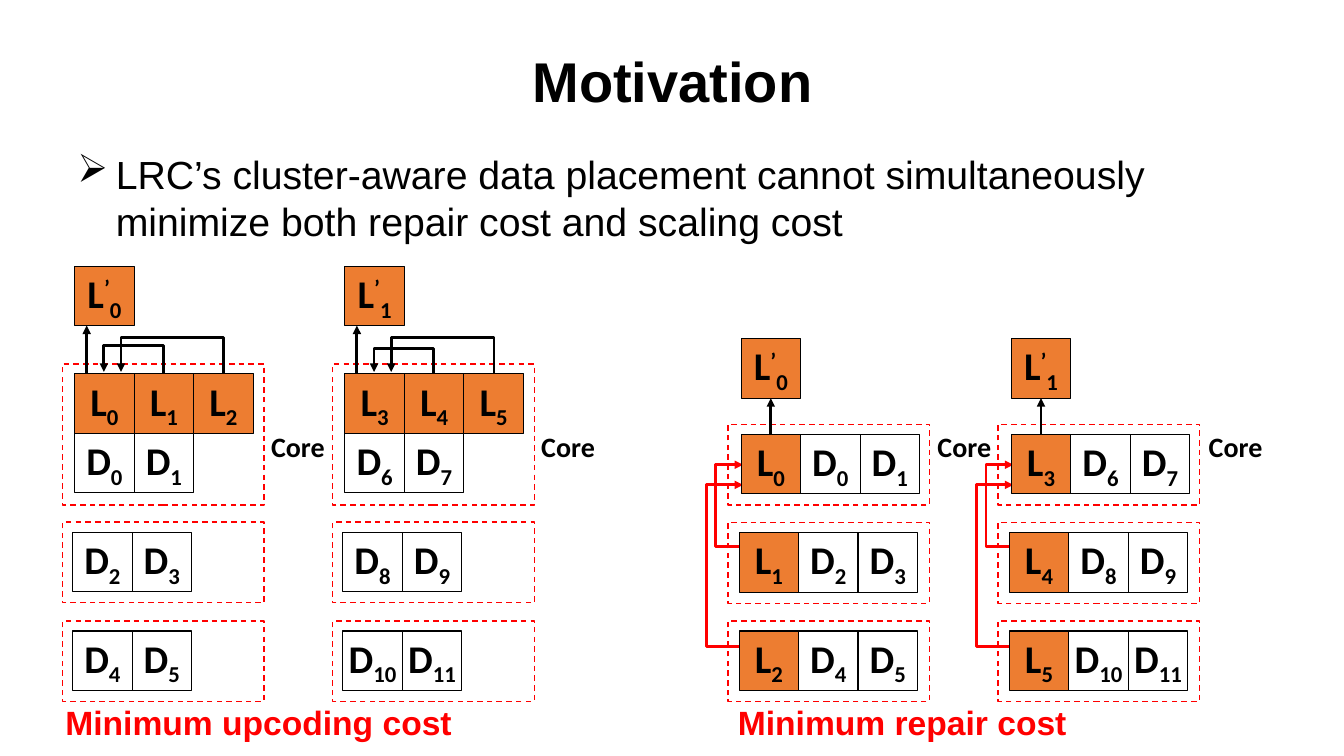
"""Build the Motivation slide comparing two LRC data placements."""
import pptx
import pptx.dml.color
import pptx.enum.dml
import pptx.enum.shapes
import pptx.enum.text
import pptx.oxml
import pptx.oxml.ns
import pptx.util

Inches = pptx.util.Inches
Pt = pptx.util.Pt
PP_ALIGN = pptx.enum.text.PP_ALIGN
MSO_ANCHOR = pptx.enum.text.MSO_ANCHOR
MSO_CONNECTOR = pptx.enum.shapes.MSO_CONNECTOR
BLACK = pptx.dml.color.RGBColor(0, 0, 0)
RED = pptx.dml.color.RGBColor(255, 0, 0)
ORANGE = pptx.dml.color.RGBColor(0xED, 0x7D, 0x31)
CELL = 0.59
STEP = 0.02


def add_xml(parent, tag, **attrs):
    """Append a DrawingML element and return it."""
    el = pptx.oxml.parse_xml(f'<a:{tag} {pptx.oxml.ns.nsdecls("a")}/>')
    for name, value in attrs.items():
        el.set(name, str(value))
    parent.append(el)
    return el


def write(sp, text, sup="", sub="", size=28, font="Arial", color=BLACK, bold=True,
          align=PP_ALIGN.LEFT, anchor=MSO_ANCHOR.TOP, wrap=True, bullet=None):
    """Fill a shape with one paragraph, with optional raised and lowered parts."""
    tf = sp.text_frame
    tf.word_wrap = wrap
    tf.vertical_anchor = anchor
    p = tf.paragraphs[0]
    p.alignment = align
    if bullet:
        pPr = p._p.get_or_add_pPr()
        pPr.set("marL", str(Inches(0.38)))
        pPr.set("indent", str(-Inches(0.38)))
        add_xml(pPr, "buChar", char=bullet)
    for part, baseline in ((text, 0), (sup, 30000), (sub, -25000)):
        if part:
            r = p.add_run()
            r.text = part
            r.font.size = Pt(size)
            r.font.name = font
            r.font.bold = bold
            r.font.color.rgb = color
            if baseline:
                r._r.get_or_add_rPr().set("baseline", str(baseline))


def add_text(s, x, y, w, h, text, **fmt):
    """Add a text box."""
    sp = s.shapes.add_textbox(Inches(x), Inches(y), Inches(w), Inches(h))
    write(sp, text, **fmt)


def add_rect(s, x, y, w, h, line, width, fill=None):
    """Add an outlined rectangle."""
    sp = s.shapes.add_shape(pptx.enum.shapes.MSO_SHAPE.RECTANGLE,
                            Inches(x), Inches(y), Inches(w), Inches(h))
    sp.shadow.inherit = False
    sp.line.color.rgb = line
    sp.line.width = Pt(width)
    if fill is None:
        sp.fill.background()
    else:
        sp.fill.solid()
        sp.fill.fore_color.rgb = fill
    return sp


def add_block(s, x, y, name):
    """Add a data block (D) or a parity block (L) named such as D0 or L’0."""
    sp = add_rect(s, x, y, CELL, CELL, BLACK, 0.75, ORANGE if name[0] == "L" else None)
    write(sp, name[0], sup="’" if "’" in name else "", sub=name[1:].lstrip("’"),
          font="Calibri", align=PP_ALIGN.CENTER, anchor=MSO_ANCHOR.MIDDLE, wrap=False)
    return sp


def add_cluster(s, x, y, h, inset, rows):
    """Add a dashed cluster with rows of blocks and return the first block."""
    blocks = [add_block(s, x + inset + j * CELL, y + 0.1 + i * CELL, name)
              for i, row in enumerate(rows) for j, name in enumerate(row.split())]
    frame = add_rect(s, x, y, 2, h, RED, 1)
    frame.line.dash_style = pptx.enum.dml.MSO_LINE.DASH
    return blocks[0]


def add_arrow(s, x1, y1, x2, y2, color=BLACK, kind=MSO_CONNECTOR.STRAIGHT):
    """Add a connector with an arrowhead at its end."""
    c = s.shapes.add_connector(kind, Inches(x1), Inches(y1), Inches(x2), Inches(y2))
    c.line.color.rgb = color
    c.line.width = Pt(2)
    add_xml(c.line._get_or_add_ln(), "tailEnd", type="triangle")
    add_xml(c._element.spPr, "effectLst")
    return c


def bend(c, reach, angle):
    """Turn an elbow connector and set how far its middle leg lies from its start."""
    spPr = c._element.spPr
    spPr.find(pptx.oxml.ns.qn("a:xfrm")).set("rot", str(angle * 60000))
    guides = spPr.find(pptx.oxml.ns.qn("a:prstGeom")).get_or_add_avLst()
    add_xml(guides, "gd", name="adj1", fmla=f"val {round(reach / STEP * 100000)}")


def add_top_elbow(s, x1, x2, y, reach):
    """Add an arrow that rises from x1 and comes down on x2."""
    mid, half = (x1 + x2) / 2, (x1 - x2) / 2
    c = add_arrow(s, mid - STEP / 2, y + half, mid + STEP / 2, y - half,
                  kind=MSO_CONNECTOR.ELBOW)
    bend(c, reach, 270)


def add_side_elbow(s, x, y1, y2, reach):
    """Add a red arrow that leaves leftwards at y1 and returns at y2."""
    c = add_arrow(s, x + STEP, y2, x, y1, RED, MSO_CONNECTOR.ELBOW)
    bend(c, -reach, 180)


def add_upcoding_group(s, x, new, clusters, inner_reach):
    """Add a stripe placed for minimum upcoding cost."""
    add_block(s, x + 0.12, 2.64, new)
    add_cluster(s, x, 3.61, 1.4, 0.12, clusters[0])
    for i, rows in enumerate(clusters[1:]):
        add_cluster(s, x, 5.18 + 0.98 * i, 0.8, 0.1, rows)
    add_arrow(s, x + 0.24, 3.71, x + 0.24, 3.23)
    add_top_elbow(s, x + 1, x + 0.41, 3.7, inner_reach)
    add_top_elbow(s, x + 1.6, x + 0.58, 3.7, 0.36)


def add_repair_group(s, x, new, clusters):
    """Add a stripe placed for minimum repair cost."""
    add_side_elbow(s, x + 0.13, 5.42, 4.61, 0.25)
    add_side_elbow(s, x + 0.13, 6.41, 4.81, 0.34)
    target = add_block(s, x + 0.13, 3.36, new)
    sources = [add_cluster(s, x, 4.21 + 0.975 * i, 0.8, 0.11 if i else 0.13, [row])
               for i, row in enumerate(clusters)]
    c = add_arrow(s, x + 0.42, 4.31, x + 0.42, 3.95)
    c.begin_connect(sources[0], 0)
    c.end_connect(target, 2)


def main():
    """Build and save the slide."""
    prs = pptx.Presentation()
    prs.slide_width, prs.slide_height = Inches(13.33), Inches(7.5)
    s = prs.slides.add_slide(prs.slide_layouts[6])
    add_text(s, 0.67, 0.17, 12, 1.25, "Motivation", size=40,
             align=PP_ALIGN.CENTER, anchor=MSO_ANCHOR.MIDDLE)
    add_text(s, 0.67, 1.44, 12, 1.54,
             "LRC’s cluster-aware data placement cannot simultaneously "
             "minimize both repair cost and scaling cost", bold=False, bullet="➢")
    add_upcoding_group(s, 0.62, "L’0", [["L0 L1 L2", "D0 D1"], ["D2 D3"], ["D4 D5"]], 0.28)
    add_upcoding_group(s, 3.3, "L’1", [["L3 L4 L5", "D6 D7"], ["D8 D9"], ["D10 D11"]], 0.25)
    add_repair_group(s, 7.22, "L’0", ["L0 D0 D1", "L1 D2 D3", "L2 D4 D5"])
    add_repair_group(s, 9.9, "L’1", ["L3 D6 D7", "L4 D8 D9", "L5 D10 D11"])
    for x in (2.59, 5.27, 9.2, 11.89):
        add_text(s, x, 4.21, 1, 0.44, "Core", size=20, font="Calibri")
    for x, caption in ((0.55, "Minimum upcoding cost"), (7.22, "Minimum repair cost")):
        add_text(s, x, 6.91, 4.72, 0.5, caption, size=24, color=RED)
    prs.save("out.pptx")


if __name__ == "__main__":
    main()
